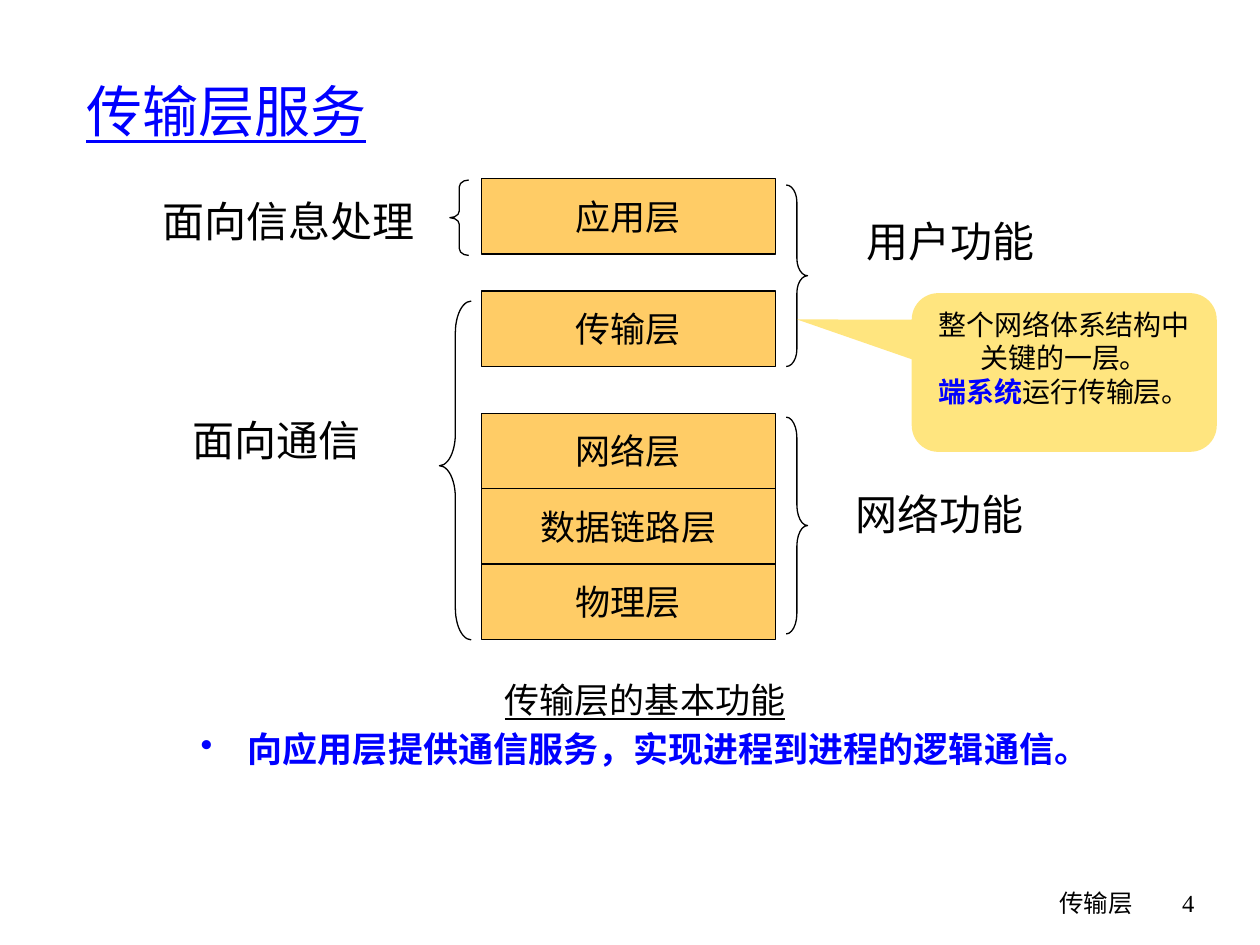
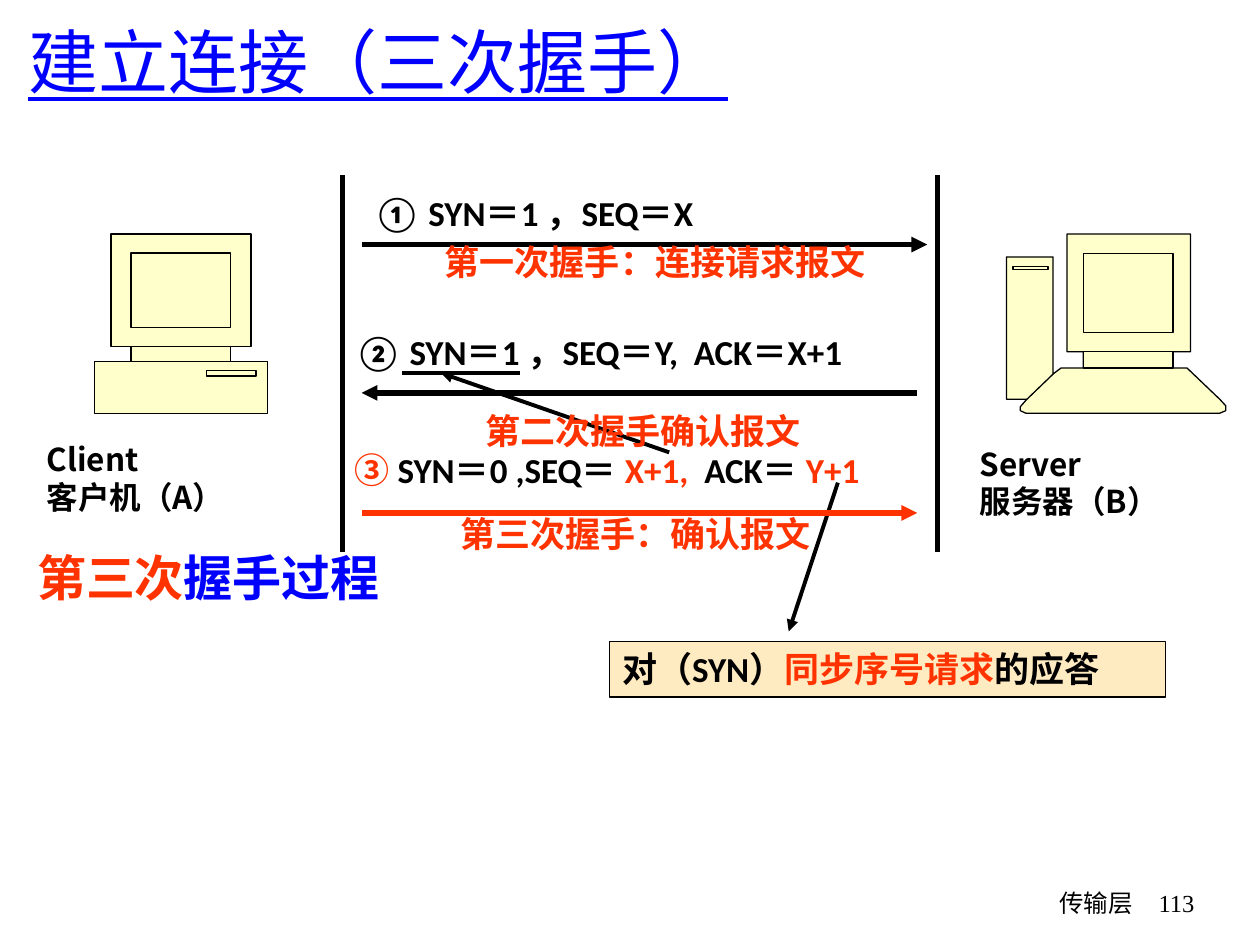
from lxml.etree import SubElement
from pptx import Presentation
from pptx.dml.color import RGBColor
from pptx.enum.shapes import MSO_CONNECTOR, MSO_SHAPE
from pptx.enum.text import MSO_ANCHOR, PP_ALIGN
from pptx.oxml.ns import qn
from pptx.util import Cm, Pt

BLACK = RGBColor(0x00, 0x00, 0x00)
BLUE = RGBColor(0x00, 0x00, 0xFF)
RED = RGBColor(0xFF, 0x33, 0x00)
ORANGE = RGBColor(0xFF, 0xCC, 0x66)
GOLD = RGBColor(0xFF, 0xCC, 0x00)
CREAM = RGBColor(0xFF, 0xEB, 0xC2)
PALE = RGBColor(0xFF, 0xFF, 0xCC)
TIMES = "Times New Roman"
COMIC = "Comic Neue"
NOTO = "Noto Sans CJK SC"
LEFT, MID, RIGHT = PP_ALIGN.LEFT, PP_ALIGN.CENTER, PP_ALIGN.RIGHT


def box(slide, at, rows=(), size=20, font=TIMES, bold=False, under=False,
        align=LEFT, middle=False, wrap=True, kind=None, fill=None, edge=True):
    place = [Cm(n) for n in at]
    if kind is None:
        shape = slide.shapes.add_textbox(*place)
    else:
        shape = slide.shapes.add_shape(kind, *place)
        shape.shadow.inherit = False
        if fill is None:
            shape.fill.background()
        else:
            shape.fill.solid()
            shape.fill.fore_color.rgb = fill
        if edge:
            shape.line.color.rgb = BLACK
            shape.line.width = Pt(0.75)
        else:
            shape.line.fill.background()
    frame = shape.text_frame
    frame.word_wrap = wrap
    frame.vertical_anchor = MSO_ANCHOR.MIDDLE if middle else MSO_ANCHOR.TOP
    for i, row in enumerate(rows):
        para = frame.add_paragraph() if i else frame.paragraphs[0]
        para.alignment = align
        para.line_spacing = Pt(size * 1.2)
        for words, color in row:
            run = para.add_run()
            run.text = words
            run.font.size = Pt(size)
            run.font.name = font
            run.font.bold = bold
            run.font.underline = under
            run.font.color.rgb = color
            SubElement(run.font._element, qn("a:ea"), typeface=NOTO)
    return shape


def line(slide, ends, color=BLACK, width=3, arrow=True):
    link = slide.shapes.add_connector(MSO_CONNECTOR.STRAIGHT, *[Cm(n) for n in ends])
    link.line.color.rgb = color
    link.line.width = Pt(width)
    if arrow:
        SubElement(link.line._get_or_add_ln(), qn("a:tailEnd"), type="triangle")
    SubElement(link._element.spPr, qn("a:effectLst"))


deck = Presentation()
deck.slide_width, deck.slide_height = Cm(25.4), Cm(19.05)
titles = [
    ("传输层服务", 32, (1.49, 0.64, 21.59, 3.18), "4"),
    ("建立连接（三次握手）", 40, (0.32, 0.18, 23.58, 2.08), "113"),
]
for title, size, at, number in titles:
    slide = deck.slides.add_slide(deck.slide_layouts[6])
    box(slide, at, [[(title, BLUE)]], size, under=True, middle=True)
    box(slide, (15.04, 17.78, 8.05, 1.27), [[("传输层", BLACK)]], 14, COMIC, align=RIGHT)
    box(slide, (23.06, 17.78, 1.27, 1.27), [[(number, BLACK)]], 14, align=RIGHT)
stack, shake = deck.slides

layers = [("应用层", 3.6), ("传输层", 5.87)]
layers += [(name, 8.33 + 1.52 * i) for i, name in enumerate(["网络层", "数据链路层", "物理层"])]
for name, top in layers:
    box(stack, (9.71, top, 5.92, 1.52), [[(name, BLACK)]], align=MID, middle=True,
        wrap=False, kind=MSO_SHAPE.RECTANGLE, fill=ORANGE)

braces = [
    (MSO_SHAPE.LEFT_BRACE, (9.07, 3.63, 0.38, 1.52), 0.36, 0.5),
    (MSO_SHAPE.LEFT_BRACE, (8.86, 6.07, 0.64, 6.83), 1, 0.486),
    (MSO_SHAPE.RIGHT_BRACE, (15.85, 3.73, 0.43, 3.66), 0.81, 0.5),
    (MSO_SHAPE.RIGHT_BRACE, (15.85, 8.41, 0.43, 4.37), 0.96, 0.5),
]
for kind, at, curve, point in braces:
    brace = box(stack, at, kind=kind)
    brace.adjustments[0], brace.adjustments[1] = curve, point

labels = [
    ("面向信息处理", 2.96, 3.6),
    ("面向通信", 2.72, 8.02),
    ("用户功能", 16.31, 4.01),
    ("网络功能", 16.08, 9.5),
]
for label, left, top in labels:
    box(stack, (left, top, 5.72, 1.7), [[(label, BLACK)]], 24,
        align=MID, middle=True, wrap=False)

note = box(stack, (18.38, 5.91, 6.15, 3.2),
           [[("整个网络体系结构中关键的一层。", BLACK)],
            [("端系统", BLUE), ("运行传输层。", BLACK)]],
           16, align=MID, kind=MSO_SHAPE.ROUNDED_RECTANGULAR_CALLOUT, fill=GOLD, edge=False)
for i, value in enumerate([-0.876, -0.334, 0.167]):
    note.adjustments[i] = value
note.text_frame.paragraphs[1].runs[0].font.bold = True
tint = note._element.spPr.find(qn("a:solidFill")).find(qn("a:srgbClr"))
SubElement(tint, qn("a:alpha"), val="50000")

goal = box(stack, (0.85, 13.56, 24.31, 3.99),
           [[("传输层的基本功能", BLACK)],
            [("向应用层提供通信服务，实现进程到进程的逻辑通信。", BLUE)]],
           font=COMIC, align=MID)
head, point = goal.text_frame.paragraphs
head.runs[0].font.underline = True
point.runs[0].font.bold = True
point.space_before = Pt(4)
props = point._p.get_or_add_pPr()
props.set("marL", str(Cm(0.95)))
props.set("indent", str(-Cm(0.95)))
SubElement(props, qn("a:buChar"), char="•")

for left in (6.91, 18.9):
    line(shake, (left, 3.53, left, 11.13), arrow=False)
line(shake, (7.29, 4.93, 18.69, 4.93))
line(shake, (18.49, 7.92, 7.29, 7.92))
line(shake, (13.49, 9.12, 8.89, 7.52), width=2.25)
line(shake, (8.1, 7.52, 10.49, 7.52), width=2.25, arrow=False)
line(shake, (16.89, 9.73, 15.9, 12.73), width=2.25)
line(shake, (7.29, 10.34, 18.49, 10.34), RED)

steps = [
    ((7.29, 3.73, 9.2, 1.09), LEFT, [("① SYN＝1 ，SEQ＝X", BLACK)]),
    ((6.91, 6.53, 12.4, 1.09), LEFT, [("② SYN＝1 ，SEQ＝Y,  ACK＝X+1", BLACK)]),
    ((8.1, 4.72, 9.6, 1.09), RIGHT, [("第一次握手：连接请求报文", RED)]),
    ((9.1, 8.13, 7.29, 1.09), RIGHT, [("第二次握手确认报文", RED)]),
    ((8.5, 10.21, 8.1, 1.09), RIGHT, [("第三次握手：确认报文", RED)]),
]
for at, align, row in steps:
    box(shake, at, [row], font="Calibri", bold=True, align=align)
third = box(shake, (6.9, 8.92, 12.4, 1.09),
            [[("③ ", RED), ("SYN＝0 ,SEQ＝ ", BLACK), ("X+1,  ", RED),
              ("ACK＝ ", BLACK), ("Y+1", RED)]], font="Calibri", bold=True)
third.text_frame.paragraphs[0].runs[0].font.name = NOTO
box(shake, (0.5, 10.92, 24.89, 2.62), [[("第三次", RED), ("握手过程", BLUE)]],
    28, "Calibri", True)
box(shake, (12.29, 12.93, 11.2, 1.12),
    [[("对（SYN）", BLACK), ("同步序号请求", RED), ("的应答", BLACK)]],
    font="Calibri", bold=True, kind=MSO_SHAPE.RECTANGLE, fill=CREAM)

client = [
    (4.65, 7.29), (4.65, 6.99), (5.06, 6.99), (5.06, 4.72), (2.24, 4.72), (2.24, 6.99),
    (2.64, 6.99), (2.64, 7.29), (1.9, 7.29), (1.9, 8.33), (5.39, 8.33), (5.39, 7.29),
]
server = [
    (21.23, 7.54), (21.39, 7.42), (21.84, 7.42), (21.84, 7.09), (21.51, 7.09),
    (21.51, 4.72), (24, 4.72), (24, 7.09), (23.65, 7.09), (23.65, 7.42),
    (23.93, 7.42), (24.59, 8.05), (24.71, 8.18), (24.71, 8.28), (24.59, 8.33),
    (20.68, 8.33), (20.57, 8.28), (20.57, 8.2), (20.7, 8.05), (20.29, 8.05),
    (20.29, 5.18), (21.23, 5.18),
]
for rim in (client, server):
    rim = [(Cm(x), Cm(y)) for x, y in rim]
    pen = shake.shapes.build_freeform(*rim[0])
    pen.add_line_segments(rim[1:])
    host = pen.convert_to_shape()
    host.shadow.inherit = False
    host.fill.solid()
    host.fill.fore_color.rgb = PALE
    host.line.color.rgb = BLACK
    host.line.width = Pt(0.75)

parts = [
    (2.64, 6.99, 2.01, 0.3), (2.64, 5.1, 2.01, 1.5), (4.17, 7.47, 0.99, 0.11),
    (20.42, 5.38, 0.71, 0.06), (21.84, 7.09, 1.81, 0.33), (21.84, 5.11, 1.81, 1.6),
]
for part in parts:
    box(shake, part, kind=MSO_SHAPE.RECTANGLE, fill=PALE)
line(shake, (21.23, 7.54, 20.7, 8.05), width=0.75, arrow=False)

names = [
    ((0.69, 8.74, 5.79, 2.29), "Client", "客户机（A）"),
    ((19.5, 8.84, 5.69, 2.29), "Server", "服务器（B）"),
]
for at, role, name in names:
    box(shake, at, [[(role, BLACK)], [(name, BLACK)]], 18, NOTO, True)

deck.save("out.pptx")
